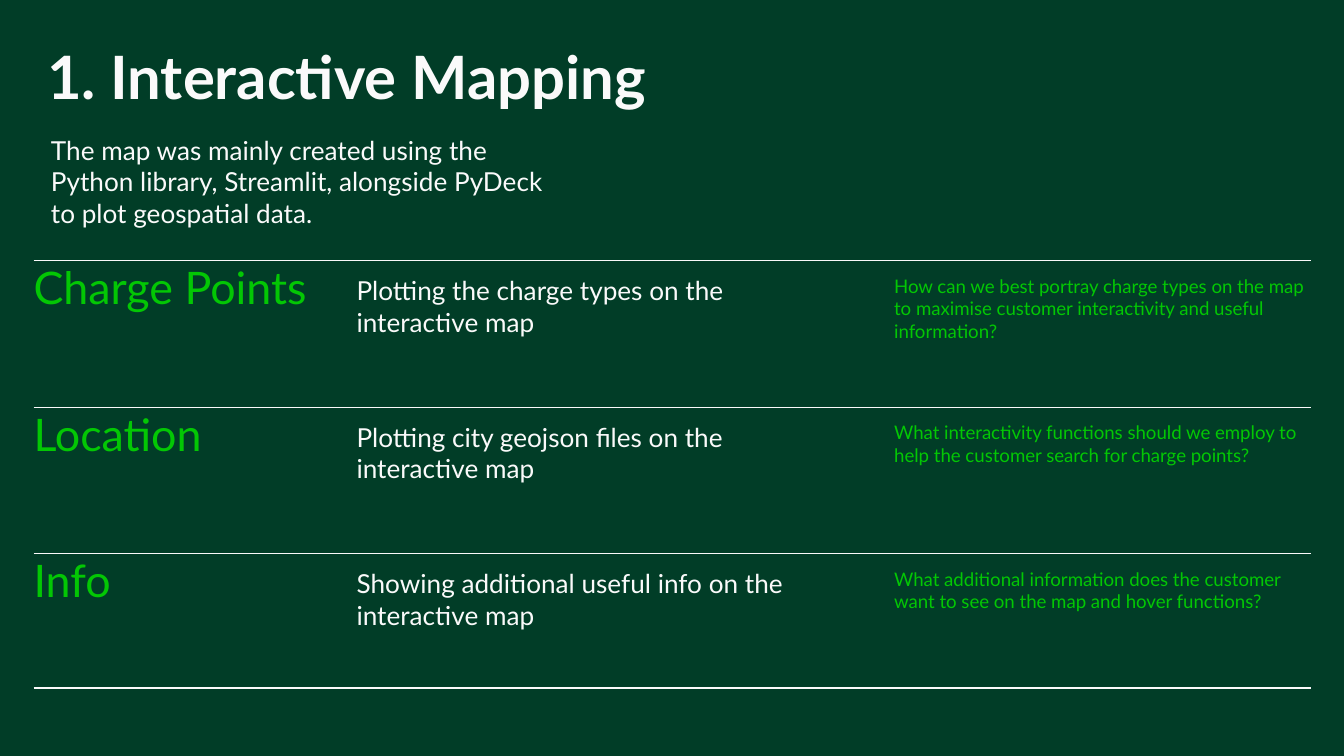
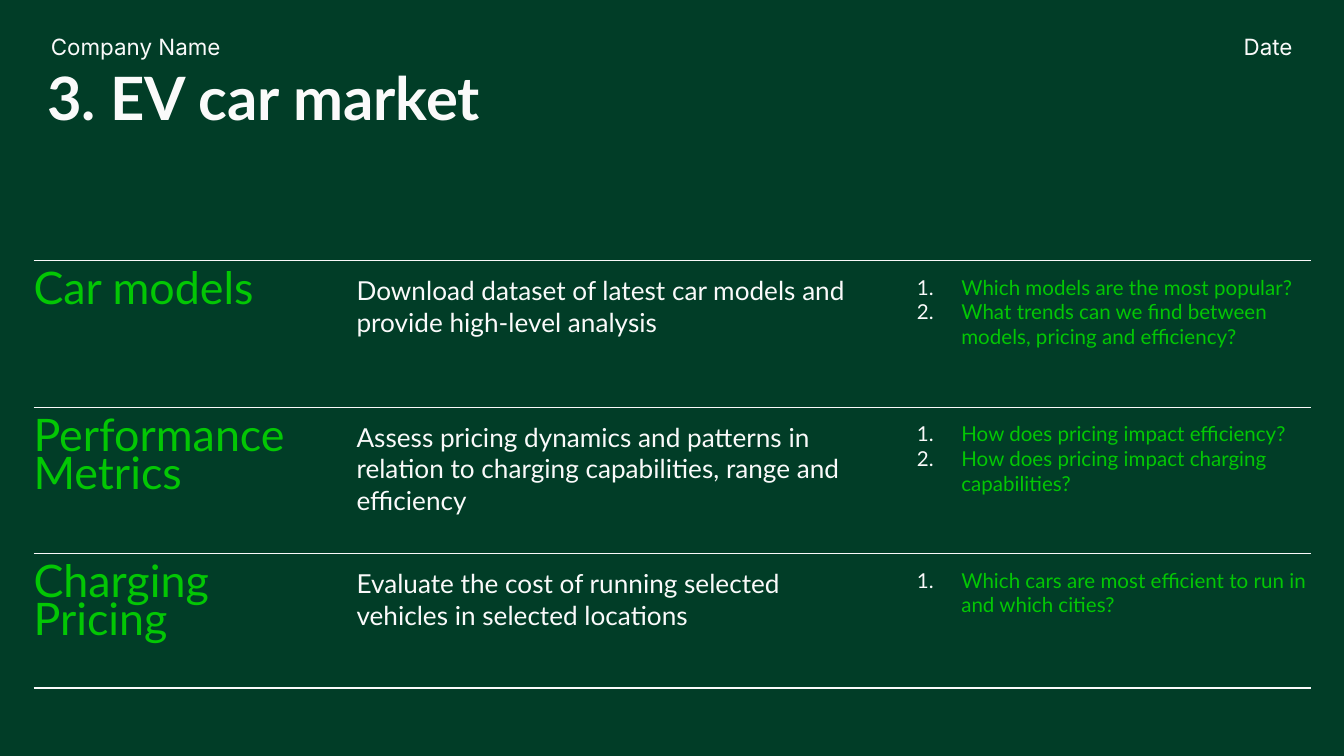
from lxml import etree
from pptx import Presentation
from pptx.dml.color import RGBColor
from pptx.enum.shapes import MSO_CONNECTOR
from pptx.enum.text import MSO_ANCHOR, MSO_AUTO_SIZE, PP_ALIGN
from pptx.oxml.ns import qn
from pptx.util import Pt

STRAIGHT = MSO_CONNECTOR.STRAIGHT
TOP = MSO_ANCHOR.TOP
NO_AUTOFIT = MSO_AUTO_SIZE.NONE
LEFT, RIGHT = PP_ALIGN.LEFT, PP_ALIGN.RIGHT

FOREST = RGBColor(0x01, 0x3D, 0x27)
WHITE = RGBColor(0xFA, 0xFA, 0xFA)
GREEN = RGBColor(0x03, 0xC7, 0x04)

BODY_FONT, HEADER_FONT = "Lato", "Inter"
TITLE_ONLY = 5
RULE_LEFT, RULE_RIGHT = 18, 702.5
RULE_TOPS = (139.7, 218.2, 296.6, 368.6)
ROW_GAP = 7.5
TOPIC_LEFT, TASK_LEFT, QUESTION_LEFT = 18, 191, 479
TOPIC_WIDTH, TASK_WIDTH, QUESTION_WIDTH = 165.5, 265, 223.5
ROW_HEIGHT = 60
HEADER_LEFT = 27.3

MAPPING_ROWS = (
    ("Charge Points", "Plotting the charge types on the interactive map",
     ["How can we best portray charge types on the map to maximise customer "
      "interactivity and useful information?"]),
    ("Location", "Plotting city geojson files on the interactive map",
     ["What interactivity functions should we employ to help the customer "
      "search for charge points?"]),
    ("Info", "Showing additional useful info on the interactive map",
     ["What additional information does the customer want to see on the map "
      "and hover functions?"]),
)
MARKET_ROWS = (
    ("Car models",
     "Download dataset of latest car models and provide high-level analysis",
     ["Which models are the most popular?",
      "What trends can we find between models, pricing and efficiency?"]),
    ("Performance Metrics",
     "Assess pricing dynamics and patterns in relation to charging "
     "capabilities, range and efficiency",
     ["How does pricing impact efficiency?",
      "How does pricing impact charging capabilities?"]),
    ("Charging Pricing",
     "Evaluate the cost of running selected vehicles in selected locations",
     ["Which cars are most efficient to run in and which cities?"]),
)


def style_paragraph(para, size, color, font=BODY_FONT, bold=False,
                    spacing=1.0, align=LEFT):
    para.alignment = align
    para.line_spacing = spacing
    para.font.name = font
    para.font.size = Pt(size)
    para.font.bold = bold
    para.font.color.rgb = color


def number_paragraph(para):
    properties = para._p.get_or_add_pPr()
    properties.set("marL", str(Pt(36)))
    properties.set("indent", str(-Pt(23.8)))
    bullet_color = etree.SubElement(properties, qn("a:buClr"))
    etree.SubElement(bullet_color, qn("a:srgbClr"), val=str(WHITE))
    etree.SubElement(properties, qn("a:buFont"), typeface=BODY_FONT)
    etree.SubElement(properties, qn("a:buAutoNum"), type="arabicPeriod")


def set_frame(frame, margin):
    frame.word_wrap = True
    frame.auto_size = NO_AUTOFIT
    frame.vertical_anchor = TOP
    frame.margin_left = frame.margin_right = Pt(margin)
    frame.margin_top = frame.margin_bottom = Pt(margin)


def add_text(page, lines, left, top, width, height, size, color,
             numbered=False, **style):
    box = page.shapes.add_textbox(Pt(left), Pt(top), Pt(width), Pt(height))
    frame = box.text_frame
    set_frame(frame, 0)
    for index, line in enumerate(lines):
        para = frame.add_paragraph() if index else frame.paragraphs[0]
        para.text = line
        if numbered:
            number_paragraph(para)
        style_paragraph(para, size, color, **style)


def add_title(page, text, top):
    title = page.shapes.title
    title.left, title.top = Pt(18), Pt(top)
    title.width, title.height = Pt(684), Pt(53.3)
    set_frame(title.text_frame, 7.2)
    title.text_frame.text = text
    style_paragraph(title.text_frame.paragraphs[0], 32, WHITE, bold=True,
                    spacing=0.7)


def add_rule(page, top):
    rule = page.shapes.add_connector(
        STRAIGHT, Pt(RULE_LEFT), Pt(top), Pt(RULE_RIGHT), Pt(top))
    rule.line.color.rgb = WHITE
    rule.line.width = Pt(0.75)
    etree.SubElement(rule._element.spPr, qn("a:effectLst"))


def add_rows(page, rows, question_size, numbered=False):
    for top in RULE_TOPS:
        add_rule(page, top)
    for rule_top, (topic, task, questions) in zip(RULE_TOPS, rows):
        top = rule_top + ROW_GAP
        add_text(page, [topic], TOPIC_LEFT, top, TOPIC_WIDTH, ROW_HEIGHT,
                 24, GREEN, spacing=0.7)
        add_text(page, [task], TASK_LEFT, top, TASK_WIDTH, ROW_HEIGHT,
                 14, WHITE)
        add_text(page, questions, QUESTION_LEFT, top, QUESTION_WIDTH,
                 ROW_HEIGHT, question_size, GREEN, numbered=numbered)


def add_page(deck, title, title_top):
    page = deck.slides.add_slide(deck.slide_layouts[TITLE_ONLY])
    add_title(page, title, title_top)
    return page


def main():
    deck = Presentation()
    deck.slide_width, deck.slide_height = Pt(720), Pt(405)
    background = deck.slide_master.background.fill
    background.solid()
    background.fore_color.rgb = FOREST

    mapping = add_page(deck, "1. Interactive Mapping", 24.5)
    add_rows(mapping, MAPPING_ROWS, 10)
    add_text(mapping,
             ["The map was mainly created using the Python library, "
              "Streamlit, alongside PyDeck to plot geospatial data."],
             HEADER_LEFT, 72, TASK_WIDTH, ROW_HEIGHT, 14, WHITE)

    market = add_page(deck, "3. EV car market", 36)
    add_rows(market, MARKET_ROWS, 11, numbered=True)
    add_text(market, ["Company Name"], HEADER_LEFT, 18, 138, 6, 12, WHITE,
             font=HEADER_FONT)
    add_text(market, ["Date"], 595.5, 18, 97, 6, 12, WHITE,
             font=HEADER_FONT, align=RIGHT)

    deck.save("out.pptx")


if __name__ == "__main__":
    main()
